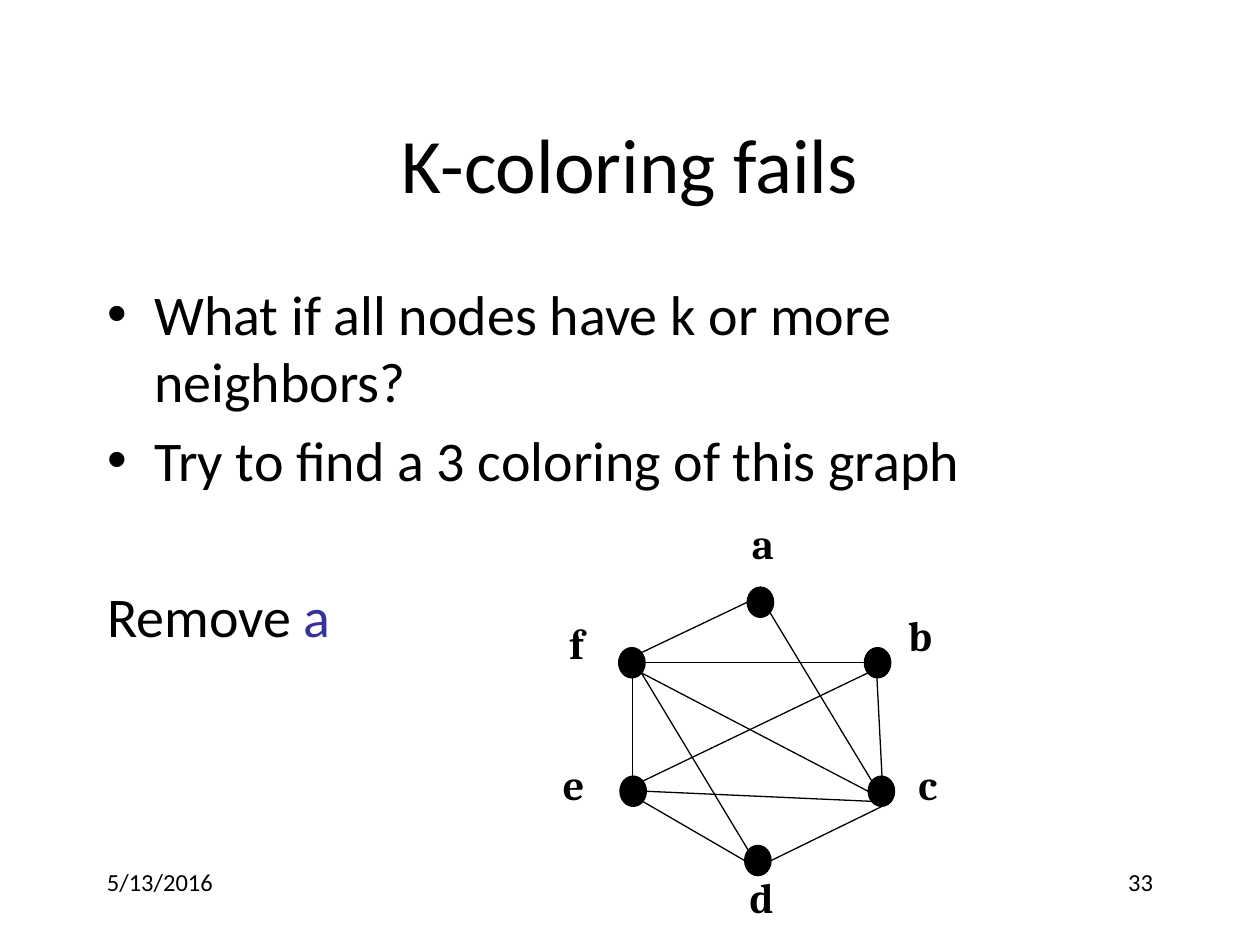
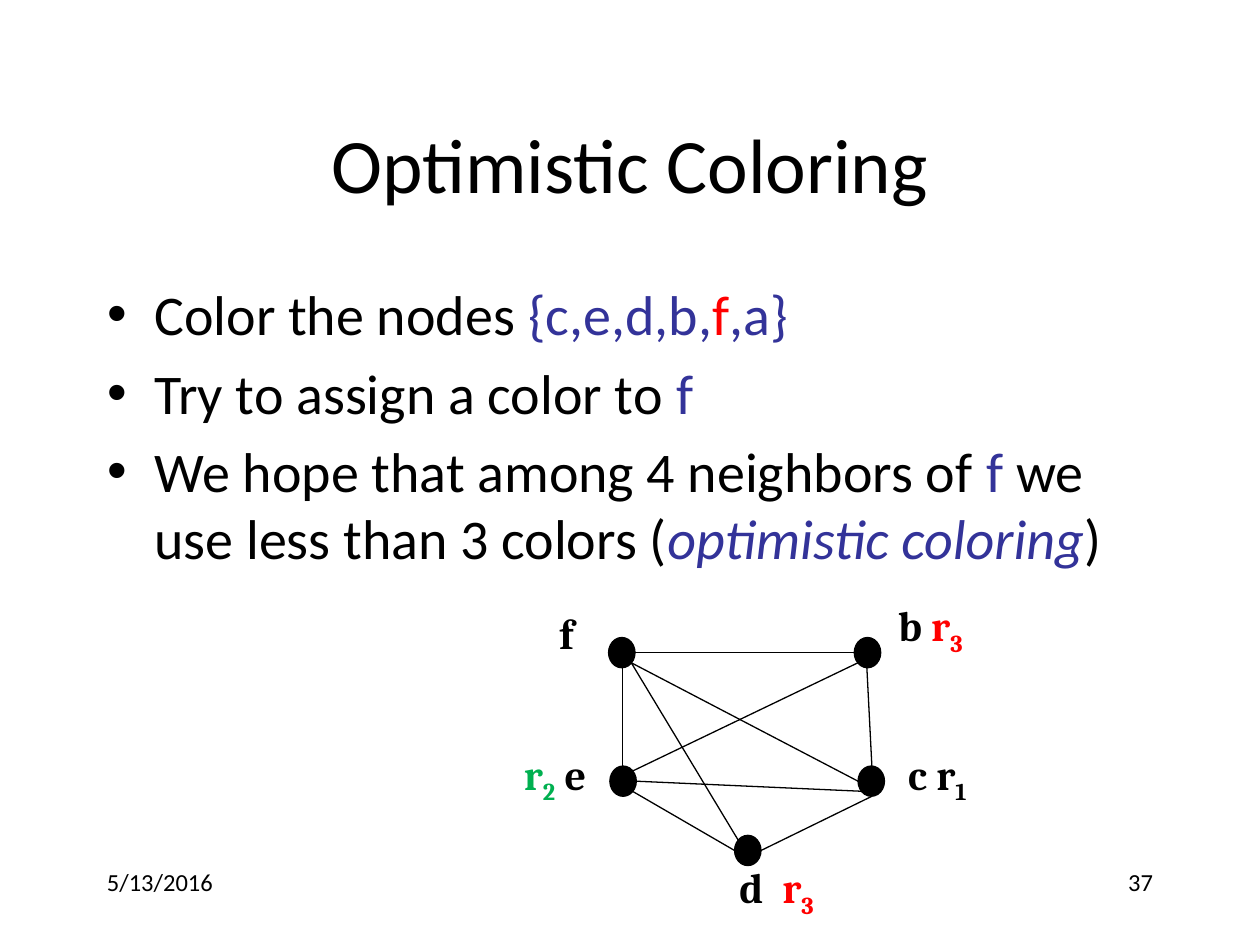
from dataclasses import dataclass, replace
from math import sqrt

from lxml import etree
from pptx import Presentation
from pptx.dml.color import RGBColor
from pptx.enum.shapes import MSO_CONNECTOR, MSO_SHAPE
from pptx.enum.text import MSO_ANCHOR, MSO_AUTO_SIZE, PP_ALIGN
from pptx.oxml.ns import qn
from pptx.util import Pt

EMU_PER_PX = 9144  # 100 px to the inch

BLACK = RGBColor(0x00, 0x00, 0x00)
INDIGO = RGBColor(0x33, 0x33, 0x99)
RED = RGBColor(0xFF, 0x00, 0x00)
GREEN = RGBColor(0x00, 0xB0, 0x50)

LEFT, CENTER, RIGHT = PP_ALIGN.LEFT, PP_ALIGN.CENTER, PP_ALIGN.RIGHT
TOP, MIDDLE = MSO_ANCHOR.TOP, MSO_ANCHOR.MIDDLE
NO_AUTOFIT = MSO_AUTO_SIZE.NONE
OVAL = MSO_SHAPE.OVAL
STRAIGHT = MSO_CONNECTOR.STRAIGHT

TITLE_FONT = {"name": "Calibri", "size": Pt(44)}
BODY_FONT = {"name": "Calibri", "size": Pt(32)}
FOOTER_FONT = {"name": "Calibri", "size": Pt(14)}
LABEL_FONT = {"name": "Cambria", "size": Pt(24), "bold": True}

TITLE_BOX = (75, 67, 850, 125)
BODY_BOX = (75, 217, 850, 450)
DATE_BOX = (75, 683, 208, 50)
NUMBER_BOX = (717, 683, 208, 50)

LINE_WIDTH = Pt(0.75)
DOT_WIDTH, DOT_HEIGHT = 21, 24
LABEL_HEIGHT = 50
LABEL_TAB = 34
ITEM_GAP = Pt(6.4)
SECTION_GAP = Pt(51)

DIAGONAL = 1 / sqrt(2)
SITES = {
    "top": (0, -1),
    "bottom": (0, 1),
    "left": (-1, 0),
    "right": (1, 0),
    "top left": (-DIAGONAL, -DIAGONAL),
    "top right": (DIAGONAL, -DIAGONAL),
    "bottom left": (-DIAGONAL, DIAGONAL),
    "bottom right": (DIAGONAL, DIAGONAL),
}


@dataclass(frozen=True)
class Span:
    text: str
    color: RGBColor = BLACK
    italic: bool = False
    subscript: bool = False


@dataclass(frozen=True)
class Item:
    spans: tuple[Span, ...]
    bullet: bool = True
    gap: int = ITEM_GAP


@dataclass(frozen=True)
class Node:
    x: int
    y: int
    label_x: int
    label_y: int
    label_width: int
    label: tuple[Span, ...]

    def site(self, name: str) -> tuple[int, int]:
        """Point on the rim of the dot."""
        across, down = SITES[name]
        return (round(self.x + DOT_WIDTH / 2 * (1 + across)),
                round(self.y + DOT_HEIGHT / 2 * (1 + down)))

    def moved(self, step: int) -> "Node":
        return replace(self, x=self.x + step, y=self.y + step,
                       label_x=self.label_x + step,
                       label_y=self.label_y + step)


@dataclass(frozen=True)
class Edge:
    start: str
    start_site: str
    end: str
    end_site: str


@dataclass(frozen=True)
class Page:
    title: str
    number: int
    items: tuple[Item, ...]
    nodes: dict[str, Node]


NODES = {
    "a": Node(593, 466, 587, 406, 54, (Span("a"),)),
    "b": Node(686, 514, 711, 479, 86, (Span("b"),)),
    "c": Node(689, 616, 719, 597, 101, (Span("c"),)),
    "d": Node(591, 671, 585, 687, 101, (Span("d"),)),
    "f": Node(491, 514, 442, 485, 92, (Span("f"),)),
    "e": Node(492, 616, 437, 597, 84, (Span("e"),)),
}

EDGES = (
    Edge("a", "left", "f", "top right"),
    Edge("e", "top", "f", "bottom"),
    Edge("d", "top left", "f", "bottom right"),
    Edge("d", "left", "e", "bottom right"),
    Edge("a", "bottom right", "c", "top left"),
    Edge("b", "left", "f", "right"),
    Edge("c", "left", "f", "bottom right"),
    Edge("b", "bottom", "c", "top"),
    Edge("c", "bottom left", "e", "right"),
    Edge("c", "bottom", "d", "right"),
    Edge("b", "bottom left", "e", "top right"),
)


def register(number: int, color: RGBColor = BLACK) -> tuple[Span, Span]:
    return Span("r", color), Span(str(number), color, subscript=True)


def colored_nodes() -> dict[str, Node]:
    """The graph without a, with the registers chosen so far."""
    nodes = {name: node.moved(-8) for name, node in NODES.items() if name != "a"}
    changes = {
        "b": {"label": (Span("b "), *register(3, RED))},
        "c": {"label": (Span("c "), *register(1))},
        "d": {"label": (Span("d\t"), *register(3, RED))},
        "e": {"label": (*register(2, GREEN), Span(" e")), "label_x": 406},
    }
    for name, change in changes.items():
        nodes[name] = replace(nodes[name], **change)
    return nodes


PAGES = (
    Page("K-coloring fails", 33, (
        Item((Span("What if all nodes have k or more neighbors?"),)),
        Item((Span("Try to find a 3 coloring of this graph"),)),
        Item((Span("Remove "), Span("a", INDIGO)), bullet=False, gap=SECTION_GAP),
    ), NODES),
    Page("Optimistic Coloring", 37, (
        Item((Span("Color the nodes "), Span("{c,e,d,b,", INDIGO),
              Span("f", RED), Span(",a}", INDIGO))),
        Item((Span("Try to assign a color to "), Span("f", INDIGO))),
        Item((Span("We hope that among 4 neighbors of "), Span("f", INDIGO),
              Span(" we use less than 3 colors ("),
              Span("optimistic coloring", INDIGO, italic=True), Span(")"))),
    ), colored_nodes()),
)


def px(*lengths: float) -> list[int]:
    return [round(length * EMU_PER_PX) for length in lengths]


def set_all(target, values: dict) -> None:
    for name, value in values.items():
        setattr(target, name, value)


def place(shape, box: tuple[int, int, int, int]) -> None:
    set_all(shape, dict(zip(("left", "top", "width", "height"), px(*box))))


def write(para, spans: tuple[Span, ...], font: dict) -> None:
    for span in spans:
        run = para.add_run()
        run.text = span.text
        set_all(run.font, font)
        run.font.color.rgb = span.color
        if span.italic:
            run.font.italic = True
        if span.subscript:
            run._r.get_or_add_rPr().set("baseline", "-25000")


def add_label(slide, box, spans, font, align=LEFT):
    label = slide.shapes.add_textbox(*px(*box))
    set_all(label.text_frame, {"word_wrap": True, "auto_size": NO_AUTOFIT})
    para = label.text_frame.paragraphs[0]
    para.alignment = align
    if any("\t" in span.text for span in spans):
        tabs = etree.SubElement(para._p.get_or_add_pPr(), qn("a:tabLst"))
        etree.SubElement(tabs, qn("a:tab"), pos=str(px(LABEL_TAB)[0]), algn="l")
    write(para, spans, font)


def fill_title(slide, text: str) -> None:
    title = slide.shapes.title
    place(title, TITLE_BOX)
    set_all(title.text_frame, {"auto_size": NO_AUTOFIT, "vertical_anchor": MIDDLE})
    para = title.text_frame.paragraphs[0]
    para.alignment = CENTER
    write(para, (Span(text),), TITLE_FONT)


def fill_body(slide, items: tuple[Item, ...]) -> None:
    body = slide.placeholders[1]
    place(body, BODY_BOX)
    frame = body.text_frame
    set_all(frame, {"auto_size": NO_AUTOFIT, "vertical_anchor": TOP})
    for index, item in enumerate(items):
        para = frame.add_paragraph() if index else frame.paragraphs[0]
        para.space_before = item.gap if index else Pt(0)
        if not item.bullet:
            properties = para._p.get_or_add_pPr()
            properties.set("marL", "0")
            properties.set("indent", "0")
            etree.SubElement(properties, qn("a:buNone"))
        write(para, item.spans, BODY_FONT)


def add_node(slide, node: Node) -> None:
    dot = slide.shapes.add_shape(OVAL, *px(node.x, node.y, DOT_WIDTH, DOT_HEIGHT))
    dot.shadow.inherit = False
    dot.fill.solid()
    dot.fill.fore_color.rgb = BLACK
    dot.line.color.rgb = BLACK
    dot.line.width = LINE_WIDTH
    box = (node.label_x, node.label_y, node.label_width, LABEL_HEIGHT)
    add_label(slide, box, node.label, LABEL_FONT)


def add_edge(slide, start: tuple[int, int], end: tuple[int, int]) -> None:
    line = slide.shapes.add_connector(STRAIGHT, *px(*start, *end))
    line.line.color.rgb = BLACK
    line.line.width = LINE_WIDTH
    etree.SubElement(line._element.spPr, qn("a:effectLst"))


def add_graph(slide, nodes: dict[str, Node]) -> None:
    for node in nodes.values():
        add_node(slide, node)
    for edge in EDGES:
        if edge.start in nodes and edge.end in nodes:
            add_edge(slide, nodes[edge.start].site(edge.start_site),
                     nodes[edge.end].site(edge.end_site))


def add_page(deck, page: Page) -> None:
    slide = deck.slides.add_slide(deck.slide_layouts[1])
    fill_title(slide, page.title)
    fill_body(slide, page.items)
    add_label(slide, DATE_BOX, (Span("5/13/2016"),), FOOTER_FONT)
    add_label(slide, NUMBER_BOX, (Span(str(page.number)),), FOOTER_FONT, RIGHT)
    add_graph(slide, page.nodes)


def main() -> None:
    deck = Presentation()
    deck.slide_width, deck.slide_height = px(1000, 750)
    for page in PAGES:
        add_page(deck, page)
    deck.save("out.pptx")


if __name__ == "__main__":
    main()
